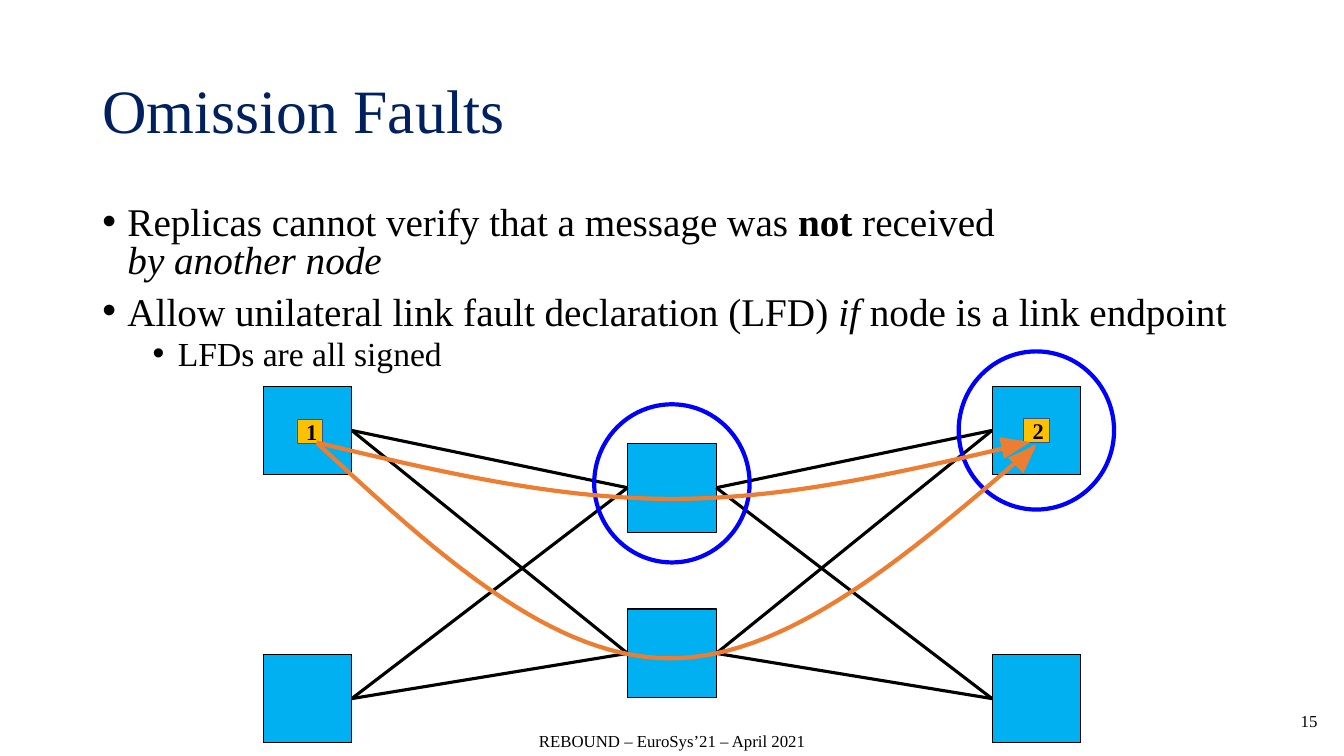
from itertools import product

from lxml import etree
from pptx import Presentation
from pptx.dml.color import RGBColor
from pptx.enum.shapes import MSO_CONNECTOR as Connector, MSO_SHAPE as Shape
from pptx.enum.text import MSO_ANCHOR as Anchor, PP_ALIGN as Align
from pptx.oxml.ns import qn
from pptx.util import Pt

FONT = "Times New Roman"
BLACK, NAVY, BLUE = "000000", "002060", "0000FF"
NODE, TOKEN, TOKEN_LINE, ROUTE = "00B0F0", "FFC000", "325491", "ED7D31"
NODE_SIZE = 63.4
RIGHT_SIDE, LEFT_SIDE = 3, 1


def color(value):
    return RGBColor.from_string(value)


def add_runs(p, *runs, size, fill=BLACK):
    """Add (text, style) runs; style holds any of b, i and n (break after)."""
    for text, style in runs:
        r = p.add_run()
        r.text = text
        r.font.name, r.font.size = FONT, Pt(size)
        r.font.color.rgb = color(fill)
        r.font.bold, r.font.italic = "b" in style, "i" in style
        if "n" in style:
            p.add_line_break()


def add_text(s, box, text, size, fill=BLACK, align=Align.LEFT, spacing=1.0):
    tf = s.shapes.add_textbox(*map(Pt, box)).text_frame
    tf.word_wrap = True
    tf.vertical_anchor = Anchor.MIDDLE
    p = tf.paragraphs[0]
    p.alignment, p.line_spacing = align, spacing
    add_runs(p, (text, ""), size=size, fill=fill)


def style_shape(sp, fill=None, line=None, width=1):
    sp.shadow.inherit = False
    if fill:
        sp.fill.solid()
        sp.fill.fore_color.rgb = color(fill)
    else:
        sp.fill.background()
    if line:
        sp.line.color.rgb = color(line)
        sp.line.width = Pt(width)
    else:
        sp.line.fill.background()


def add_centered(s, kind, center, size, **style):
    (cx, cy), (w, h) = center, size
    sp = s.shapes.add_shape(kind, Pt(cx - w / 2), Pt(cy - h / 2), Pt(w), Pt(h))
    style_shape(sp, **style)
    return sp


def add_bullets(s, box):
    items = [
        (0, 28, [("Replicas cannot verify that a message was ", ""), ("not", "b"),
                 (" received ", "n"), ("by another node", "i")]),
        (0, 28, [("Allow unilateral link fault declaration (LFD) ", ""), ("if ", "i"),
                 ("node is a link endpoint", "")]),
        (1, 24, [("LFDs are all signed", "")]),
    ]
    tf = s.shapes.add_textbox(*map(Pt, box)).text_frame
    tf.word_wrap = True
    for n, (level, size, runs) in enumerate(items):
        p = tf.add_paragraph() if n else tf.paragraphs[0]
        p.level, p.line_spacing = level, 0.8
        p.space_before = Pt((5 if level else 10) if n else 0)
        pPr = p._p.get_or_add_pPr()
        pPr.set("marL", str(Pt(18 + 36 * level)))
        pPr.set("indent", str(Pt(-18)))
        etree.SubElement(pPr, qn("a:buFont")).set("typeface", "Arial")
        etree.SubElement(pPr, qn("a:buChar")).set("char", "•")
        add_runs(p, *runs, size=size)


def add_link(s, start, start_side, end, end_side):
    link = s.shapes.add_connector(Connector.STRAIGHT, 0, 0, 0, 0)
    link.begin_connect(start, start_side)
    link.end_connect(end, end_side)
    link.line.color.rgb = color(BLACK)
    link.line.width = Pt(2.25)
    etree.SubElement(link._element.spPr, qn("a:effectLst"))


def add_token(s, center, text):
    sp = add_centered(s, Shape.RECTANGLE, center, (18.4, 17.3),
                      fill=TOKEN, line=TOKEN_LINE, width=0.25)
    tf = sp.text_frame
    tf.word_wrap = False
    tf.vertical_anchor = Anchor.MIDDLE
    tf.margin_left, tf.margin_right = Pt(3), 0
    tf.margin_top = tf.margin_bottom = 0
    p = tf.paragraphs[0]
    p.alignment = Align.CENTER
    add_runs(p, (text, "b"), size=16)


def bezier(p0, p1, p2, p3, steps=30):
    for n in range(1, steps + 1):
        t = n / steps
        u = 1 - t
        yield tuple(Pt(u**3 * a + 3 * u * u * t * b + 3 * u * t * t * c + t**3 * d)
                    for a, b, c, d in zip(p0, p1, p2, p3))


def add_route(s, points, head, angle):
    """Draw two joined Bezier curves through seven points, with an arrowhead."""
    builder = s.shapes.build_freeform(*map(Pt, points[0]))
    builder.add_line_segments([*bezier(*points[:4]), *bezier(*points[3:])], close=False)
    style_shape(builder.convert_to_shape(), line=ROUTE, width=3)
    tip = add_centered(s, Shape.ISOSCELES_TRIANGLE, head, (15.8, 20.9), fill=ROUTE)
    tip.rotation = angle


def add_network(s, box):
    left, top, width, height = box
    half = NODE_SIZE / 2
    columns = [left + half, left + width / 2, left + width - half]
    outer_rows = [top + half, top + height - half]
    middle_rows = [top + 72.6, top + 190.9]

    def at(x, y):
        return left + x, top + y

    def nodes(x, rows):
        return [add_centered(s, Shape.RECTANGLE, (x, y), (NODE_SIZE, NODE_SIZE),
                             fill=NODE, line=BLACK, width=0.75) for y in rows]

    senders, relays, receivers = [
        nodes(x, rows) for x, rows in zip(columns, (outer_rows, middle_rows, outer_rows))]
    for sender, relay in product(senders, relays):
        add_link(s, sender, RIGHT_SIDE, relay, LEFT_SIDE)
    for receiver, relay in product(receivers, relays):
        add_link(s, receiver, LEFT_SIDE, relay, RIGHT_SIDE)

    for center in ((columns[1], top + 69.5), (columns[2], outer_rows[0])):
        add_centered(s, Shape.OVAL, center, (111, 113), line=BLUE, width=3)
    add_token(s, at(33.3, 32.4), "1")
    add_token(s, at(552.2, 31.7), "2")

    upper = [(38.2, 40.3), (123.1, 60.5), (207.4, 80.6), (292.3, 80.6),
             (376.6, 80.6), (460.1, 60.5), (544.3, 41)]
    lower = [(38.9, 41), (121.7, 117.4), (204.5, 194.4), (290.2, 194.4),
             (375.1, 195.1), (463, 118.8), (550.8, 43.2)]
    add_route(s, [at(*p) for p in upper], at(537.8, 42.1), 78.1)
    add_route(s, [at(*p) for p in lower], at(545, 49.3), 45)


def main():
    prs = Presentation()
    prs.slide_width, prs.slide_height = Pt(960), Pt(540)
    s = prs.slides.add_slide(prs.slide_layouts[6])
    add_text(s, (66, 28.8, 828, 104.4), "Omission Faults", 44, fill=NAVY, spacing=0.9)
    add_bullets(s, (66, 144, 828, 130.3))
    add_text(s, (375.8, 514.8, 208.8, 28.8), "REBOUND – EuroSys’21 – April 2021", 12,
             align=Align.CENTER)
    add_text(s, (732.2, 500.4, 216, 28.8), "15", 12, align=Align.RIGHT)
    add_network(s, (187.9, 275.8, 584.1, 254.9))
    prs.save("out.pptx")


if __name__ == "__main__":
    main()
